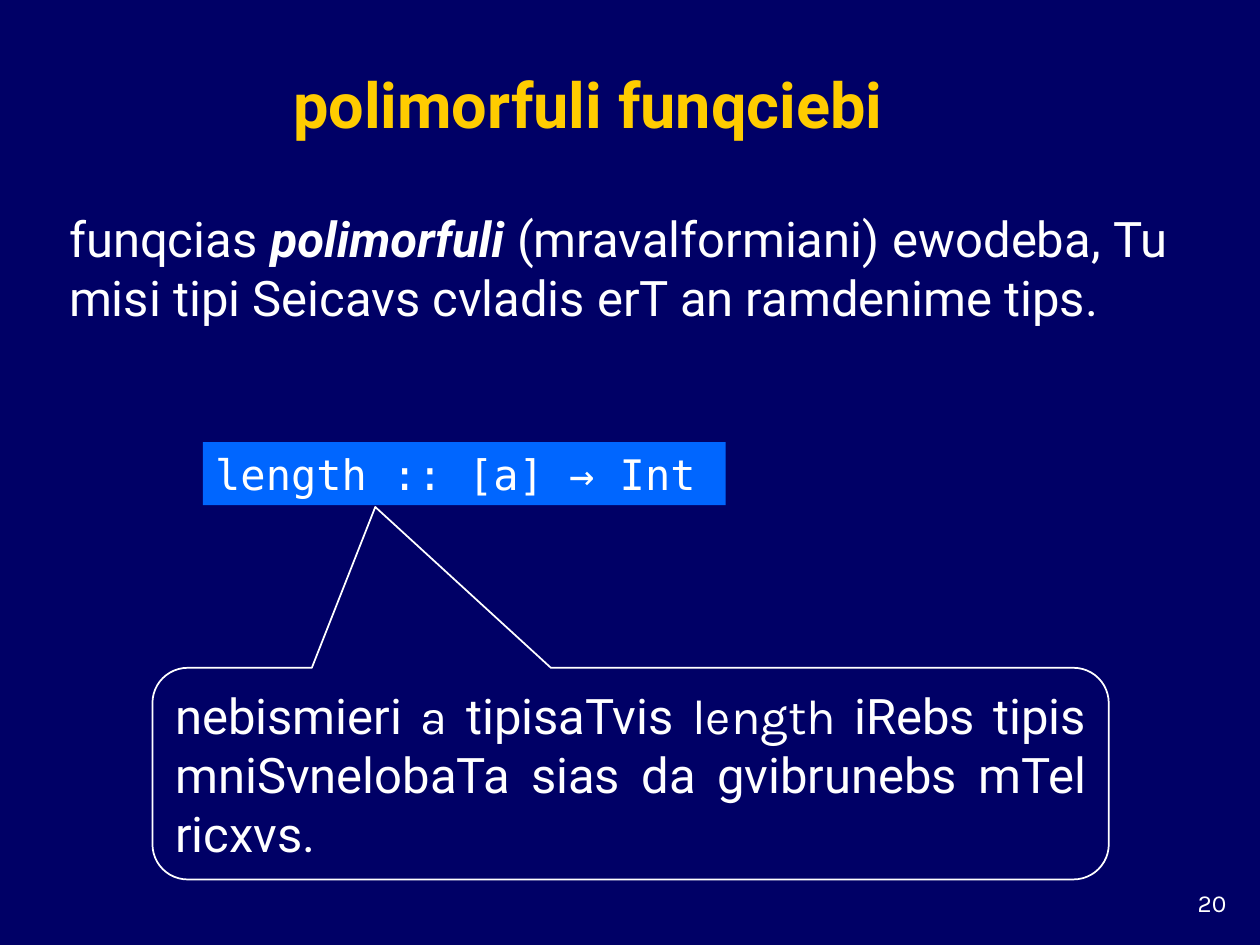
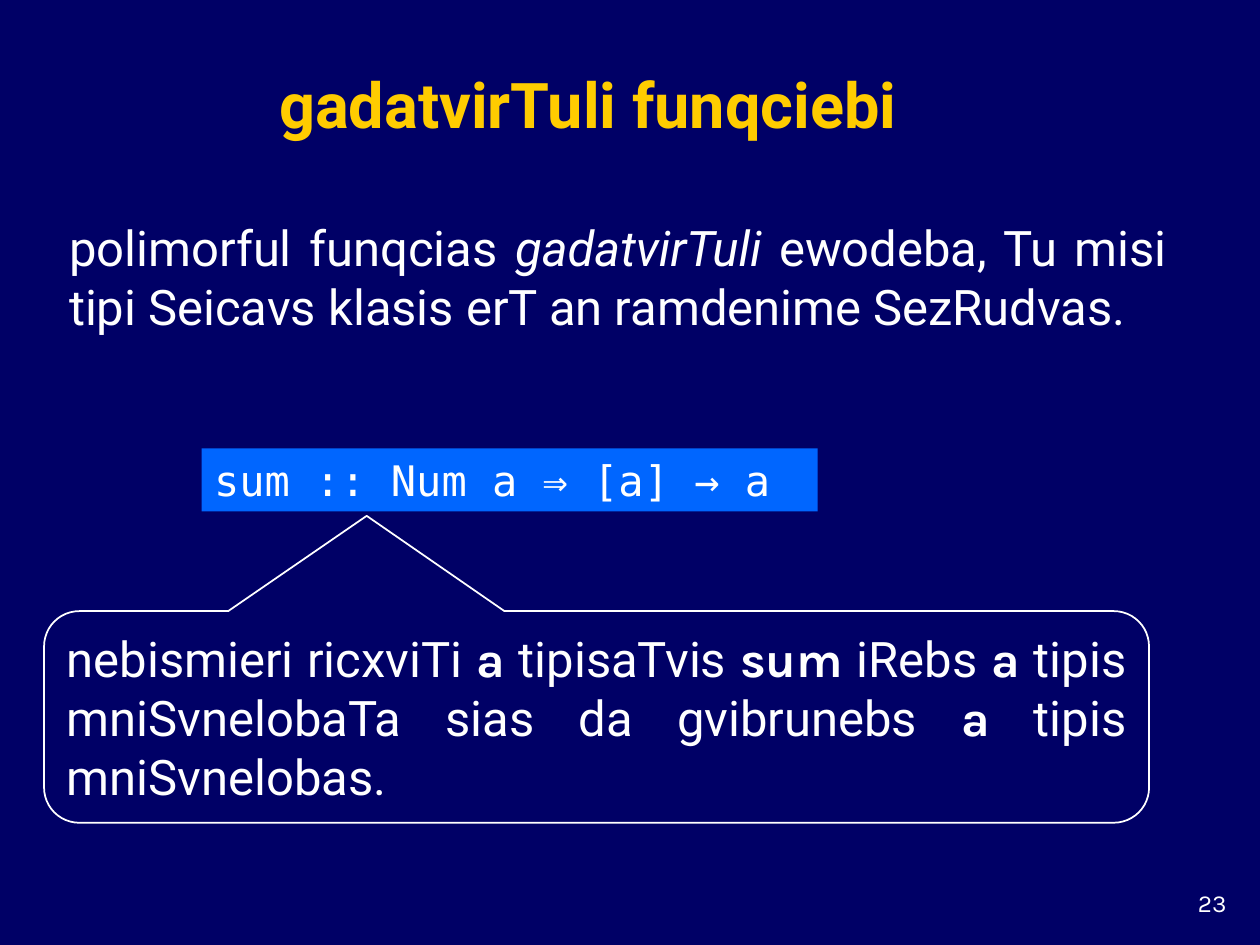
from pptx import Presentation
from pptx.dml.color import RGBColor
from pptx.enum.shapes import MSO_SHAPE as Shape
from pptx.enum.text import MSO_ANCHOR as Anchor, MSO_AUTO_SIZE as AutoSize, PP_ALIGN as Align
from pptx.util import Pt

COLORS = {"background": "000066", "title": "FFCC00", "text": "FFFFFF", "code": "0066FF"}
PROSE, LABEL, CODE = "Roboto", "Karla", "DejaVu Sans Mono"

# Each text is a list of (words, style); styles: b bold, i italic, k label font
SLIDES = [
    {
        "title": "polimorfuli funqciebi",
        "number": "20",
        "definition": [
            ("funqcias ", ""), ("polimorfuli", "bi"),
            (" (mravalformiani) ewodeba, Tu misi tipi Seicavs cvladis erT an ramdenime tips.", ""),
        ],
        "definition_top": 98.64,
        "signature": "length :: [a] → Int",
        "signature_box": (115.92, 252.72, 298.8, 36),
        "callout": [
            ("nebismieri ", ""), ("a", "k"), (" tipisaTvis ", ""), ("length ", "k"),
            ("iRebs tipis mniSvnelobaTa sias da gvibrunebs mTel ricxvs.", ""),
        ],
        "callout_box": (87.12, 381.6, 546.48, 120.96),
        "callout_tip": (-0.267, -1.26),
    },
    {
        "title": "gadatvirTuli funqciebi",
        "number": "23",
        "definition": [
            ("polimorful funqcias ", ""), ("gadatvirTuli", "i"),
            (" ewodeba, Tu misi tipi Seicavs klasis erT an ramdenime SezRudvas.", ""),
        ],
        "definition_top": 103.68,
        "signature": "sum :: Num a ⇒ [a] → a",
        "signature_box": (115.2, 256.32, 352.08, 36),
        "callout": [
            ("nebismieri ricxviTi ", ""), ("a", "kb"), (" tipisaTvis ", ""), ("sum", "kb"),
            (" iRebs ", ""), ("a", "kb"), (" tipis mniSvnelobaTa sias da gvibrunebs ", ""),
            ("a", "kb"), (" tipis mniSvnelobas.", ""),
        ],
        "callout_box": (25.2, 349.2, 631.44, 120.96),
        "callout_tip": (-0.208, -0.95),
    },
]


def color(name):
    return RGBColor.from_string(COLORS[name])


def write(shape, pieces, size, font=PROSE, align=Align.LEFT, anchor=Anchor.MIDDLE,
          ink="text", bold=False):
    """Fill a shape with one paragraph of styled pieces."""
    frame = shape.text_frame
    frame.word_wrap = True
    frame.auto_size = AutoSize.NONE
    frame.vertical_anchor = anchor
    paragraph = frame.paragraphs[0]
    paragraph.alignment = align
    paragraph.font.size = Pt(size)
    paragraph.font.name = font
    paragraph.font.bold = bold
    paragraph.font.color.rgb = color(ink)
    for words, style in pieces:
        run = paragraph.add_run()
        run.text = words
        if "k" in style:
            run.font.name = LABEL
        if "b" in style:
            run.font.bold = True
        if "i" in style:
            run.font.italic = True


presentation = Presentation()
presentation.slide_width, presentation.slide_height = Pt(720), Pt(540)
background = presentation.slide_master.background.fill
background.solid()
background.fore_color.rgb = color("background")
title_only = presentation.slide_layouts[5]

for content in SLIDES:
    slide = presentation.slides.add_slide(title_only)
    shapes = slide.shapes

    # Title
    title = shapes.title
    title.left, title.top, title.width, title.height = map(Pt, (30, 30, 612, 54))
    write(title, [(content["title"], "")], 36, align=Align.CENTER,
          anchor=Anchor.BOTTOM, ink="title", bold=True)

    # Slide number
    number = shapes.add_textbox(Pt(660), Pt(504), Pt(48), Pt(24))
    write(number, [(content["number"], "")], 14, font=LABEL, align=Align.RIGHT, anchor=Anchor.TOP)

    # Definition
    definition = shapes.add_textbox(Pt(32.4), Pt(content["definition_top"]), Pt(641.52), Pt(108.72))
    write(definition, content["definition"], 28, align=Align.JUSTIFY)

    # Type signature
    signature = shapes.add_shape(Shape.RECTANGLE, *map(Pt, content["signature_box"]))
    signature.shadow.inherit = False
    signature.fill.solid()
    signature.fill.fore_color.rgb = color("code")
    signature.line.fill.background()
    write(signature, [(content["signature"], "")], 24, font=CODE)

    # Callout pointing at the signature
    callout = shapes.add_shape(Shape.ROUNDED_RECTANGULAR_CALLOUT, *map(Pt, content["callout_box"]))
    callout.shadow.inherit = False
    callout.adjustments[0], callout.adjustments[1] = content["callout_tip"]
    callout.fill.background()
    callout.line.color.rgb = color("text")
    callout.line.width = Pt(1)
    write(callout, content["callout"], 28, align=Align.JUSTIFY)

presentation.save("out.pptx")
